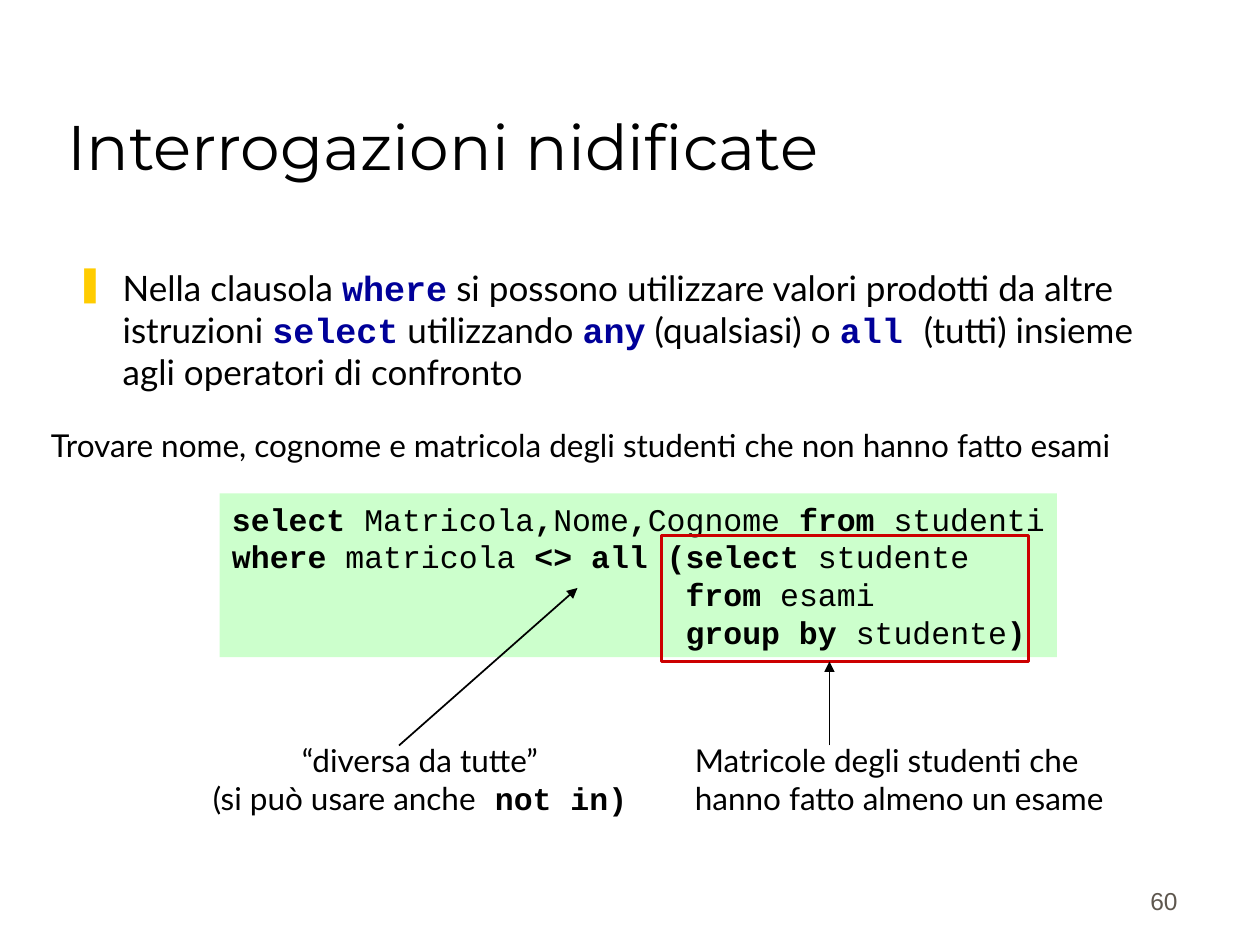
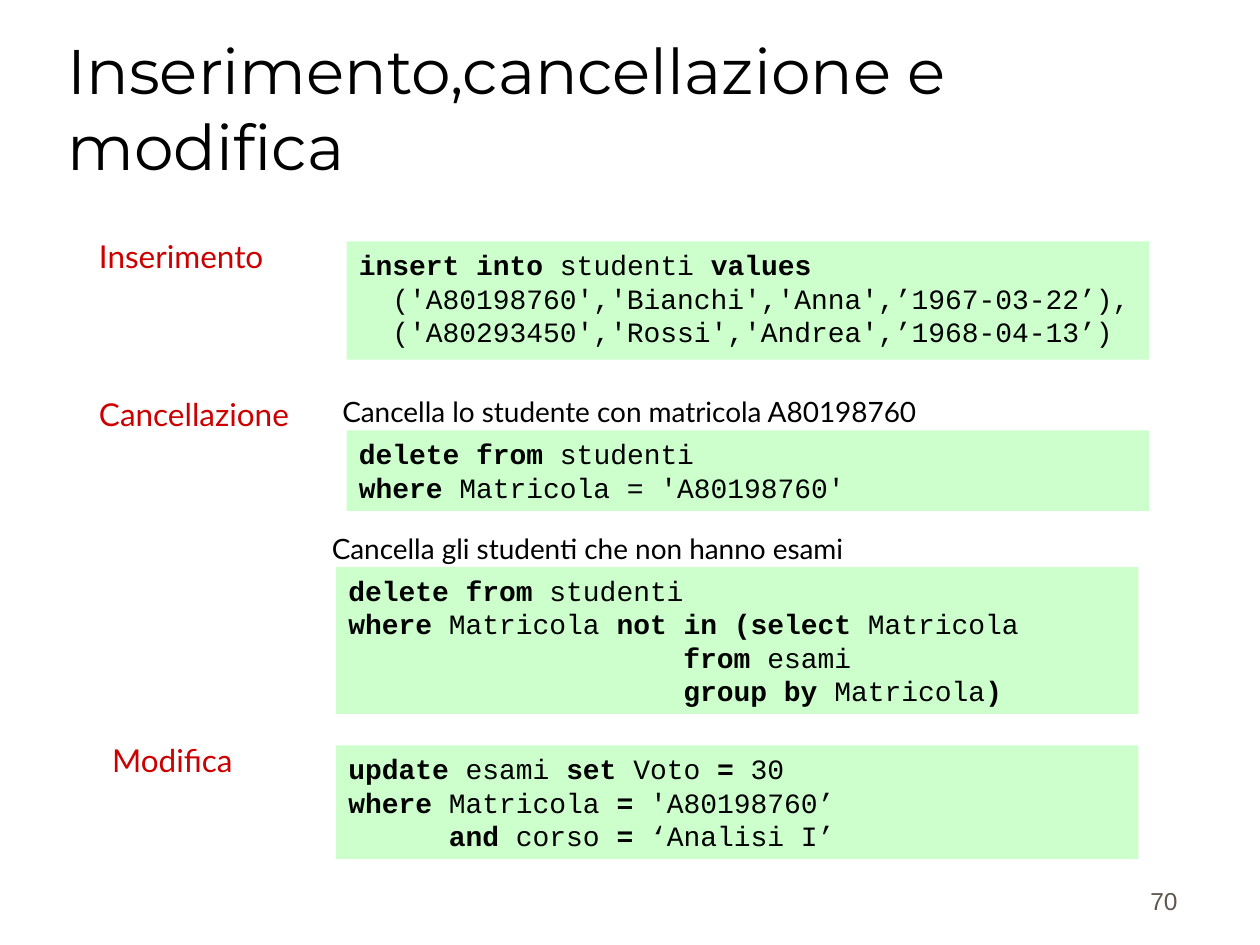
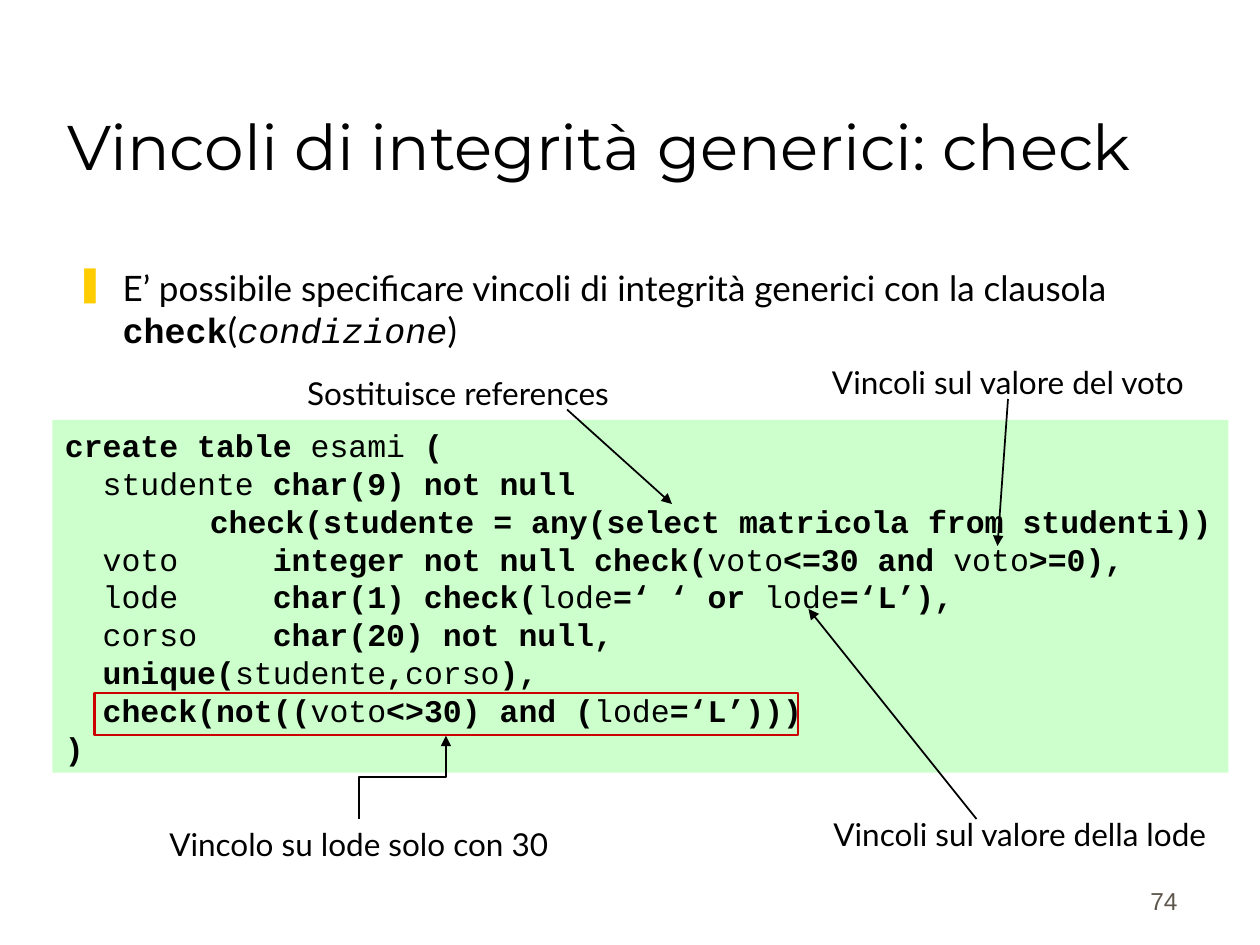
from lxml import etree
from pptx import Presentation
from pptx.dml.color import RGBColor
from pptx.enum.shapes import MSO_CONNECTOR, MSO_SHAPE
from pptx.enum.text import MSO_ANCHOR, PP_ALIGN
from pptx.oxml.ns import qn
from pptx.util import Pt

LEFT, CENTER, RIGHT = PP_ALIGN.LEFT, PP_ALIGN.CENTER, PP_ALIGN.RIGHT
TOP, BOTTOM = MSO_ANCHOR.TOP, MSO_ANCHOR.BOTTOM
STRAIGHT, ELBOW = MSO_CONNECTOR.STRAIGHT, MSO_CONNECTOR.ELBOW
RECTANGLE = MSO_SHAPE.RECTANGLE

BLACK = RGBColor(0x00, 0x00, 0x00)
BLUE = RGBColor(0x00, 0x00, 0x99)
RED = RGBColor(0xCC, 0x00, 0x00)
GREEN = RGBColor(0xCC, 0xFF, 0xCC)
YELLOW = RGBColor(0xFF, 0xCC, 0x00)
GREY = RGBColor(0x5E, 0x57, 0x4E)

TITLE_FONT, TEXT_FONT, CODE_FONT, NUMBER_FONT = "Montserrat", "Lato", "Courier New", "Arial"


def write(slide, text, box, font=TEXT_FONT, size=18, color=BLACK, strong=BLACK,
          align=LEFT, anchor=TOP, wrap=True, bullet=False, fill=None, line=None):
    area = [Pt(value) for value in box]
    if fill or line:
        shape = slide.shapes.add_shape(RECTANGLE, *area)
        shape.shadow.inherit = False
        if fill:
            shape.fill.solid()
            shape.fill.fore_color.rgb = fill
        else:
            shape.fill.background()
        if line:
            shape.line.color.rgb = RED
            shape.line.width = Pt(line)
        else:
            shape.line.fill.background()
    else:
        shape = slide.shapes.add_textbox(*area)
    if not text:
        return
    frame = shape.text_frame
    frame.word_wrap = wrap
    frame.vertical_anchor = anchor
    paragraph = frame.paragraphs[0]
    paragraph.alignment = align
    properties = paragraph._p.get_or_add_pPr()
    if bullet:
        properties.set("marL", str(Pt(27)))
        properties.set("indent", str(-Pt(27)))
        bullet_color = etree.SubElement(properties, qn("a:buClr"))
        etree.SubElement(bullet_color, qn("a:srgbClr"), val=str(YELLOW))
        etree.SubElement(properties, qn("a:buChar"), char="❚")
    if "\t" in text:
        tabs = etree.SubElement(properties, qn("a:tabLst"))
        etree.SubElement(tabs, qn("a:tab"), pos=str(Pt(72)), algn="l")
    for index, piece in enumerate(text.split("*")):
        marked = index % 2 == 1
        italic = piece.startswith("_")
        for row, words in enumerate(piece.removeprefix("_").split("\n")):
            if row:
                paragraph.add_line_break()
            if words:
                run = paragraph.add_run()
                run.text = words
                run.font.name = CODE_FONT if marked else font
                run.font.size = Pt(size)
                run.font.bold = marked and not italic
                run.font.italic = italic
                run.font.color.rgb = strong if marked else color


def arrow(slide, start, end, kind=STRAIGHT):
    connector = slide.shapes.add_connector(kind, *[Pt(value) for value in start + end])
    connector.line.color.rgb = BLACK
    connector.line.width = Pt(1)
    etree.SubElement(connector.line._get_or_add_ln(), qn("a:tailEnd"), type="triangle")
    etree.SubElement(connector._element.spPr, qn("a:effectLst"))
    return connector


deck = Presentation()
deck.slide_width, deck.slide_height = Pt(720), Pt(540)

slides = []
for title, number in (
    ("Interrogazioni nidificate", "60"),
    ("Inserimento,cancellazione e modifica", "70"),
    ("Vincoli di integrità generici: check", "74"),
):
    slide = deck.slides.add_slide(deck.slide_layouts[6])
    write(slide, title, (31.5, 18, 658, 90), font=TITLE_FONT, size=36, anchor=BOTTOM)
    write(slide, number, (530, 490.5, 150, 36), font=NUMBER_FONT, size=14,
          color=GREY, align=RIGHT, anchor=BOTTOM)
    slides.append(slide)
nested, changes, checks = slides

write(nested, "Nella clausola *where* si possono utilizzare valori prodotti da altre istruzioni "
      "*select* utilizzando *any* (qualsiasi) o *all *(tutti) insieme agli operatori di confronto",
      (36, 148.5, 644, 79), size=20, strong=BLUE, bullet=True)
write(nested, "Trovare nome, cognome e matricola degli studenti che non hanno fatto esami",
      (22, 240, 673, 29), wrap=False)
write(nested, """*select *Matricola*,*Nome*,*Cognome* from *studenti
*where *matricola* <> all (select *studente
*                        from *esami
*                        group by *studente*)*""",
      (125.5, 282, 478.5, 93.6), font=CODE_FONT, wrap=False, fill=GREEN)
write(nested, "Matricole degli studenti che hanno fatto almeno un esame", (390, 420, 264, 72))
write(nested, "", (378, 306, 210, 72), line=1.75)
write(nested, "“diversa da tutte”\n(si può usare anche* not in)*", (108, 420, 264, 72), align=CENTER)
arrow(nested, (474, 426), (474, 378))
arrow(nested, (228, 426), (330, 336))

for heading, left, top in (
    ("Inserimento", 49.5, 132), ("Cancellazione", 49.5, 222), ("Modifica", 57, 420),
):
    write(changes, heading, (left, top, 130, 29), color=RED)

for statement, left, top, height in (
    ("""*insert into* studenti *values*
  ('A80198760','Bianchi','Anna',’1967-03-22’),
  ('A80293450','Rossi','Andrea',’1968-04-13’)""", 198, 138, 67.5),
    ("""*delete from* studenti
*where *Matricola = 'A80198760'""", 198, 246, 46),
    ("""*delete from* studenti
*where *Matricola *not in (select *Matricola
*                    from *esami
*                    group by *Matricola*)*""", 192, 324, 84),
    ("""*update* esami *set* Voto *= *30
*where *Matricola *=* 'A80198760’
      *and* corso *=* ‘Analisi I’""", 192, 426, 65),
):
    write(changes, statement, (left, top, 458.5, height), font=CODE_FONT, size=16, fill=GREEN)

for purpose, left, top, width in (
    ("Cancella lo studente con matricola A80198760", 188.5, 222, 359),
    ("Cancella gli studenti che non hanno esami", 182.5, 300, 330.5),
):
    write(changes, purpose, (left, top, width, 26.5), size=16, wrap=False)

write(checks, "E’ possibile specificare vincoli di integrità generici con la clausola "
      "*check*(*_condizione*)", (36, 148.5, 644, 68), size=20, bullet=True)
write(checks, """*create table *esami* (
  *studente* char(9) not null
\t check(studente = any(select matricola from studenti))
  *voto*     integer not null check(*voto*<=30 and *voto*>=0),
  *lode*     char(1) check(*lode*=‘ ‘ or *lode*=‘L’),
  *corso*    char(20) not null,
  unique(*studente*,*corso*),
  check(not((*voto*<>30) and (*lode*=‘L’)))
)*""", (30, 240, 672, 201.5), font=CODE_FONT, fill=GREEN)
write(checks, "", (54, 396, 402, 24), line=1.5)

for note, left, top, width in (
    ("Vincoli sul valore della lode", 461.5, 462, 242.5),
    ("Vincolo su lode solo con 30", 84, 468, 242),
    ("Vincoli sul valore del voto", 462, 204, 228),
    ("Sostituisce references", 162, 210, 199.5),
):
    write(checks, note, (left, top, width, 29), align=CENTER, wrap=False)

arrow(checks, (576, 228), (570, 312))
arrow(checks, (558, 468), (462, 348))
arrow(checks, (324, 234), (384, 288))
bend = arrow(checks, (253.65, 469.15), (206.15, 419.35), ELBOW)
bend._element.spPr.find(qn("a:xfrm")).set("rot", "5400000")

deck.save("out.pptx")
